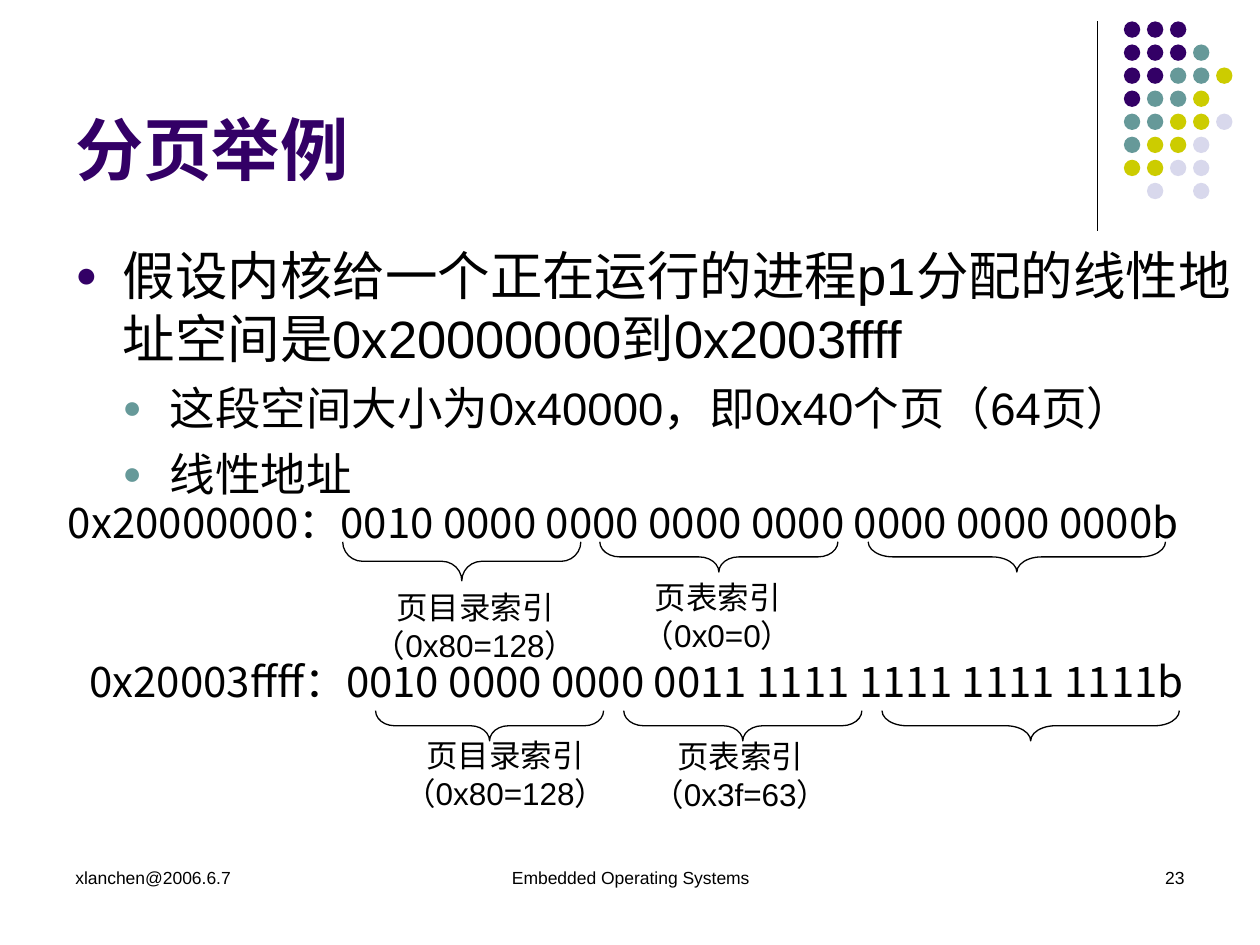
import dataclasses
import pptx
import pptx.util
import pptx.dml.color
import pptx.enum.shapes
import pptx.enum.text
import pptx.oxml.ns
import lxml.etree

Kind = pptx.enum.shapes.MSO_SHAPE
Align = pptx.enum.text.PP_ALIGN
Fit = pptx.enum.text.MSO_AUTO_SIZE
Anchor = pptx.enum.text.MSO_ANCHOR


@dataclasses.dataclass(frozen=True)
class Theme:
    ink: str = "000000"
    plum: str = "330066"
    teal: str = "669999"
    lime: str = "CCCC00"
    mist: str = "D8D8EC"
    sans: str = "Arial"
    han: str = "Noto Sans CJK SC"
    title: int = 39
    lead: int = 30
    sub: int = 26
    code: int = 24
    note: int = 18
    foot: int = 10
    rule: float = 0.75


class Deck:
    """Draws on one slide; lengths are cells of a grid of 100 columns by 75 rows."""

    def __init__(self, theme):
        self.theme = theme
        self.file = pptx.Presentation()
        self.file.slide_width = pptx.util.Inches(10)
        self.file.slide_height = pptx.util.Inches(7.5)
        self.cell = self.file.slide_width / 100
        self.slide = self.file.slides.add_slide(self.file.slide_layouts[6])

    def span(self, *cells):
        return [pptx.util.Emu(round(n * self.cell)) for n in cells]

    def tint(self, name):
        return pptx.dml.color.RGBColor.from_string(name)

    def node(self, home, tag, **attrs):
        return lxml.etree.SubElement(home, pptx.oxml.ns.qn(tag), **attrs)

    def style(self, para, size, color, face, bold=False):
        for run in para.runs:
            run.font.size = pptx.util.Pt(size)
            run.font.name = face
            run.font.bold = bold
            run.font.color.rgb = self.tint(color)
            self.node(run._r.get_or_add_rPr(), "a:ea", typeface=self.theme.han)

    def text(self, box, words, size, color=None, face=None, bold=False,
             align=Align.LEFT, anchor=Anchor.TOP, wrap=True):
        shape = self.slide.shapes.add_textbox(*self.span(*box))
        frame = shape.text_frame
        frame.text = words
        frame.word_wrap = wrap
        frame.auto_size = Fit.NONE if wrap else Fit.SHAPE_TO_FIT_TEXT
        frame.vertical_anchor = anchor
        for para in frame.paragraphs:
            para.alignment = align
            self.style(para, size, color or self.theme.ink, face or self.theme.sans, bold)
        return frame

    def bullets(self, box, items):
        look = self.theme
        frame = self.text(box, "\n".join(words for _, words in items), look.lead)
        for spot, (para, (level, _)) in enumerate(zip(frame.paragraphs, items)):
            size = look.sub if level else look.lead
            para.level = level
            props = para._p.get_or_add_pPr()
            indent = self.span(3.75)[0]
            props.set("marL", str(indent * (level + 1)))
            props.set("indent", str(-indent))
            color = self.node(props, "a:buClr")
            self.node(color, "a:srgbClr", val=look.teal if level else look.plum)
            self.node(props, "a:buSzPct", val="70000")
            self.node(props, "a:buFont", typeface=look.sans)
            self.node(props, "a:buChar", char="●")
            if spot:
                para.space_before = pptx.util.Pt(size / 4)
            for run in para.runs:
                run.font.size = pptx.util.Pt(size)

    def line(self, start, end):
        rule = self.slide.shapes.add_connector(
            pptx.enum.shapes.MSO_CONNECTOR.STRAIGHT, *self.span(*start, *end))
        rule.line.color.rgb = self.tint(self.theme.ink)
        rule.line.width = pptx.util.Pt(self.theme.rule)
        self.node(rule._element.spPr, "a:effectLst")

    def dots(self, left, top, step, size, rows, colors):
        for row, marks in enumerate(rows):
            for col, mark in enumerate(marks):
                if mark in colors:
                    dot = self.slide.shapes.add_shape(Kind.OVAL, *self.span(
                        left + col * step, top + row * step, size, size))
                    dot.shadow.inherit = False
                    dot.fill.solid()
                    dot.fill.fore_color.rgb = self.tint(colors[mark])
                    dot.line.fill.background()

    def brace(self, left, top, width, depth=2.4):
        shift = (width - depth) / 2
        brace = self.slide.shapes.add_shape(
            Kind.RIGHT_BRACE, *self.span(left + shift, top - shift, depth, width))
        brace.rotation = 90
        brace.adjustments[0] = width / 12 / depth
        brace.shadow.inherit = False
        brace.fill.background()
        brace.line.color.rgb = self.tint(self.theme.ink)
        brace.line.width = pptx.util.Pt(self.theme.rule)


def main():
    look = Theme()
    deck = Deck(look)
    deck.line((87.1, 1.7), (87.1, 18.3))
    deck.dots(89.2, 1.7, 1.83, 1.3,
              ["PPP", "PPPT", "PPTTY", "PTTY", "TTYYL", "TYYL", "YYLL", ".L.L"],
              {"P": look.plum, "T": look.teal, "Y": look.lime, "L": look.mist})
    deck.text((5, 1.3, 82.5, 14.2), "分页举例", look.title, look.plum,
              bold=True, anchor=Anchor.BOTTOM)
    deck.bullets((5, 18.8, 95, 48.2), [
        (0, "假设内核给一个正在运行的进程p1分配的线性地址空间是0x20000000到0x2003ffff"),
        (1, "这段空间大小为0x40000，即0x40个页（64页）"),
        (1, "线性地址")])
    for box, words in [
            ((4.4, 38.9, 92.2, 5), "0x20000000：0010 0000 0000 0000 0000 0000 0000 0000b"),
            ((6.1, 51.5, 90.9, 5), "0x20003ffff：0010 0000 0000 0011 1111 1111 1111 1111b")]:
        deck.text(box, words, look.code, face=look.han, wrap=False)
    for top, spans in [
            (43, [(27.2, 18.9, 3.1), (47.6, 18.9), (68.9, 23.6)]),
            (56.4, [(29.8, 18.1), (49.5, 18.9), (70, 23.6)])]:
        for left, *size in spans:
            deck.brace(left, top, *size)
    for box, words in [
            ((27.7, 46.2, 20, 7), "页目录索引\v（0x80=128）"),
            ((49, 45.4, 15.9, 7), "页表索引\n（0x0=0）"),
            ((30.1, 57.9, 20, 7), "页目录索引\n（0x80=128）"),
            ((49.8, 58, 17.9, 7), "页表索引\n（0x3f=63）")]:
        deck.text(box, words, look.note, align=Align.CENTER, wrap=False)
    for left, width, words, align in [
            (5, 23.3, "xlanchen@2006.6.7", Align.LEFT),
            (34.2, 31.7, "Embedded Operating Systems", Align.CENTER),
            (71.7, 23.3, "23", Align.RIGHT)]:
        deck.text((left, 68.3, width, 5), words, look.foot, align=align)
    deck.file.save("out.pptx")


if __name__ == "__main__":
    main()
